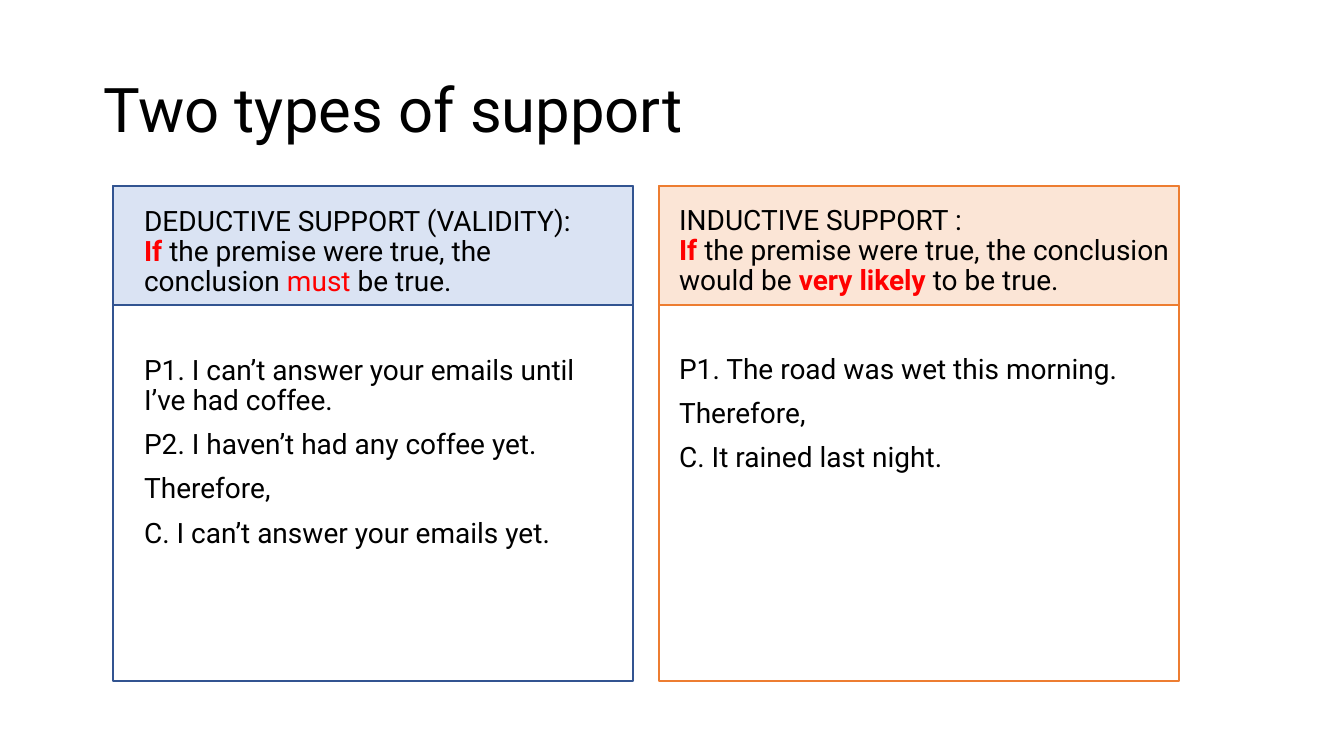
from lxml import etree
from pptx import Presentation
from pptx.dml.color import RGBColor
from pptx.enum.shapes import MSO_SHAPE
from pptx.enum.text import MSO_ANCHOR, MSO_AUTO_SIZE, PP_ALIGN
from pptx.oxml.ns import qn
from pptx.util import Emu, Pt

RECTANGLE = MSO_SHAPE.RECTANGLE
LEFT = PP_ALIGN.LEFT
TOP, MIDDLE = MSO_ANCHOR.TOP, MSO_ANCHOR.MIDDLE
NO_AUTOFIT = MSO_AUTO_SIZE.NONE

EMU_PER_PIXEL = 914400 / 100.8
FONT = "Roboto"
BLACK, RED, WHITE = "000000", "FF0000", "FFFFFF"
TITLE_SIZE, BODY_SIZE = 44, 20
PARAGRAPH_GAP, SECTION_GAP = 10, 41.5
HEADER_HEIGHT = 119
TWO_CONTENT_LAYOUT = 3

PANEL_TOP, PANEL_WIDTH, PANEL_HEIGHT = 186, 520, 495
DEDUCTIVE = {
    "box": (113, PANEL_TOP, PANEL_WIDTH, PANEL_HEIGHT),
    "text_offset": (21, 16),
    "text_size": (499, 480),
    "line": "325491",
    "header_fill": "DAE3F3",
    "heading": "DEDUCTIVE SUPPORT (VALIDITY):",
    "definition": [
        ("If", RED, True),
        (" the premise were true, the conclusion ", BLACK, False),
        ("must", RED, False),
        (" be true.", BLACK, False),
    ],
    "argument": [
        "P1. I can’t answer your emails until I’ve had coffee.",
        "P2. I haven’t had any coffee yet.",
        "Therefore,",
        "C. I can’t answer your emails yet.",
    ],
}
INDUCTIVE = {
    "box": (659, PANEL_TOP, PANEL_WIDTH, PANEL_HEIGHT),
    "text_offset": (10, 15),
    "text_size": (520, 480),
    "line": "ED7D31",
    "header_fill": "FBE5D6",
    "heading": "INDUCTIVE SUPPORT :",
    "definition": [
        ("If", RED, True),
        (" the premise were true, the conclusion would be", BLACK, False),
        (" very likely ", RED, True),
        ("to be true.", BLACK, False),
    ],
    "argument": [
        "P1. The road was wet this morning.",
        "Therefore,",
        "C. It rained last night.",
    ],
}


def pixels(value):
    """Turn whole pixels into EMU."""
    return Emu(round(value * EMU_PER_PIXEL))


def color(hex_string):
    """Turn a hex string into a colour."""
    return RGBColor.from_string(hex_string)


def place(shape, left, top, width, height):
    """Move and size a shape, in pixels."""
    shape.left, shape.top = pixels(left), pixels(top)
    shape.width, shape.height = pixels(width), pixels(height)


def prepare_text(placeholder, anchor):
    """Set wrapping, fitting and anchoring, and return the text frame."""
    frame = placeholder.text_frame
    frame.word_wrap = True
    frame.auto_size = NO_AUTOFIT
    frame.vertical_anchor = anchor
    return frame


def add_run(paragraph, text, size, font_color=BLACK, bold=False):
    """Add one formatted run to a paragraph."""
    run = paragraph.add_run()
    run.text = text
    run.font.name = FONT
    run.font.size = Pt(size)
    run.font.bold = bold
    run.font.color.rgb = color(font_color)


def format_paragraph(paragraph, space_before):
    """Give a paragraph its spacing, without bullet or indent."""
    paragraph.alignment = LEFT
    paragraph.line_spacing = 0.9
    paragraph.space_before = Pt(space_before)
    properties = paragraph._p.get_or_add_pPr()
    properties.set("marL", "0")
    properties.set("indent", "0")
    etree.SubElement(properties, qn("a:buNone"))


def add_rectangle(slide, box, fill, line):
    """Add a flat outlined rectangle."""
    shape = slide.shapes.add_shape(RECTANGLE, *map(pixels, box))
    shape.shadow.inherit = False
    shape.fill.solid()
    shape.fill.fore_color.rgb = color(fill)
    shape.line.color.rgb = color(line)
    shape.line.width = Pt(1)


def build_title(slide, box, text):
    """Place and fill the title."""
    title = slide.shapes.title
    place(title, *box)
    paragraph = prepare_text(title, MIDDLE).paragraphs[0]
    format_paragraph(paragraph, 0)
    add_run(paragraph, text, TITLE_SIZE)


def build_panel(slide, placeholder, panel):
    """Build a framed panel with a header band, a definition and an argument."""
    left, top, width, height = panel["box"]
    add_rectangle(slide, panel["box"], WHITE, panel["line"])
    add_rectangle(slide, (left, top, width, HEADER_HEIGHT),
                  panel["header_fill"], panel["line"])

    offset_x, offset_y = panel["text_offset"]
    place(placeholder, left + offset_x, top + offset_y, *panel["text_size"])
    slide.shapes._spTree.append(placeholder._element)  # text above the frames

    frame = prepare_text(placeholder, TOP)
    definition = frame.paragraphs[0]
    format_paragraph(definition, PARAGRAPH_GAP)
    add_run(definition, panel["heading"], BODY_SIZE)
    definition.add_line_break()
    for text, font_color, bold in panel["definition"]:
        add_run(definition, text, BODY_SIZE, font_color, bold)

    for index, text in enumerate(panel["argument"]):
        paragraph = frame.add_paragraph()
        format_paragraph(paragraph, PARAGRAPH_GAP if index else SECTION_GAP)
        add_run(paragraph, text, BODY_SIZE)


def main():
    """Build and save the presentation."""
    presentation = Presentation()
    presentation.slide_width, presentation.slide_height = pixels(1344), pixels(756)
    layout = presentation.slide_layouts[TWO_CONTENT_LAYOUT]
    slide = presentation.slides.add_slide(layout)
    build_title(slide, (93, 40, 1159, 146), "Two types of support")
    bodies = list(slide.placeholders)[1:]
    for placeholder, panel in zip(bodies, (DEDUCTIVE, INDUCTIVE)):
        build_panel(slide, placeholder, panel)
    presentation.save("out.pptx")


main()
